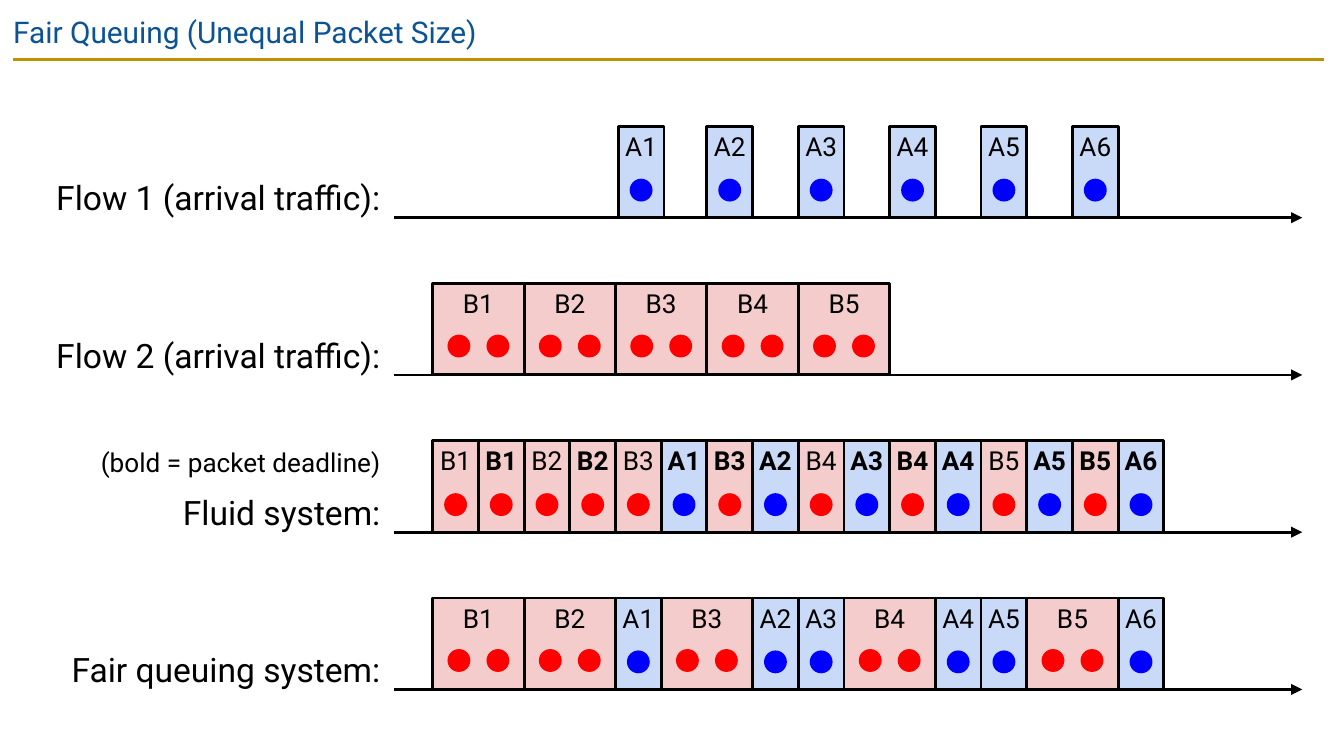
from pptx import Presentation
from pptx.dml.color import RGBColor
from pptx.enum.shapes import MSO_CONNECTOR, MSO_SHAPE
from pptx.enum.text import MSO_ANCHOR, PP_ALIGN
from pptx.oxml.ns import qn
from pptx.util import Inches, Pt

RECTANGLE, OVAL = MSO_SHAPE.RECTANGLE, MSO_SHAPE.OVAL
STRAIGHT = MSO_CONNECTOR.STRAIGHT
LEFT, CENTER, RIGHT = PP_ALIGN.LEFT, PP_ALIGN.CENTER, PP_ALIGN.RIGHT
TOP = MSO_ANCHOR.TOP

FONT = "Roboto"
FILLS = {"A": "C9DAF8", "B": "F4CCCC"}
DOTS = {"A": "0000FF", "B": "FF0000"}
SIZES = {"A": 1, "B": 2}  # packet length in slots

SLOT = 0.34
HEIGHT = 2 * SLOT
DOT = 0.17
DOT_GAP = 0.29
DOT_DROP = {1: 0.39, 2: 0.38}  # by packet length
FIRST_SLOT = 3.22
AXIS_LEFT, AXIS_RIGHT = 2.93, 9.69
LABEL_LEFT = 0.31
FIRST_AXIS, PITCH = 1.62, 1.17


def color(value):
    return RGBColor.from_string(value)


def write(shape, text, size, ink="000000", align=LEFT, bold=False, inset=0.1):
    frame = shape.text_frame
    frame.word_wrap = True
    frame.vertical_anchor = TOP
    frame.margin_left = frame.margin_right = Inches(inset)
    frame.margin_top = frame.margin_bottom = Inches(inset)
    para = frame.paragraphs[0]
    para.text = text
    para.alignment = align
    para.font.name = FONT
    para.font.size = Pt(size)
    para.font.bold = bold
    para.font.color.rgb = color(ink)


def add_text(page, box, text, size, **style):
    write(page.shapes.add_textbox(*map(Inches, box)), text, size, **style)


def add_figure(page, kind, box, fill):
    figure = page.shapes.add_shape(kind, *map(Inches, box))
    figure.shadow.inherit = False
    figure.fill.solid()
    figure.fill.fore_color.rgb = color(fill)
    return figure


def add_rule(page, left, right, y, ink, arrow=False):
    rule = page.shapes.add_connector(STRAIGHT, *map(Inches, (left, y, right, y)))
    rule.line.color.rgb = color(ink)
    rule.line.width = Pt(1.5)
    if arrow:
        line = rule.line._get_or_add_ln()
        line.append(line.makeelement(qn("a:tailEnd"), {"type": "triangle"}))
    properties = rule._element.spPr
    properties.append(properties.makeelement(qn("a:effectLst"), {}))


def add_packet(page, left, top, name, slots, bold=False):
    """Draw a packet with one dot for each slot it fills."""
    flow, width = name[0], slots * SLOT
    packet = add_figure(page, RECTANGLE, (left, top, width, HEIGHT), FILLS[flow])
    packet.line.color.rgb = color("000000")
    packet.line.width = Pt(1.5)
    write(packet, name, 14, align=CENTER, bold=bold, inset=0.03)
    first_dot = left + (width - DOT - (slots - 1) * DOT_GAP) / 2
    for index in range(slots):
        spot = (first_dot + index * DOT_GAP, top + DOT_DROP[slots], DOT, DOT)
        add_figure(page, OVAL, spot, DOTS[flow]).line.fill.background()


def add_timeline(page, axis, label, packets):
    """Draw a labelled time axis; packets are (slot, name, slots, bold)."""
    add_rule(page, AXIS_LEFT, AXIS_RIGHT, axis, "000000", arrow=True)
    label_box = (LABEL_LEFT, axis - 0.4, AXIS_LEFT - LABEL_LEFT, 0.5)
    add_text(page, label_box, label, 18, align=RIGHT)
    for slot, name, slots, bold in packets:
        left = FIRST_SLOT + slot * SLOT
        add_packet(page, left, axis - HEIGHT, name, slots, bold)


def whole_packets(names):
    """Send whole packets back to back."""
    slot, packets = 0, []
    for name in names.split():
        packets.append((slot, name, SIZES[name[0]], False))
        slot += SIZES[name[0]]
    return packets


def fluid_packets(names):
    """Send one slot at a time; the last slot of each packet is bold."""
    order = names.split()
    return [(slot, name, 1, name not in order[slot + 1:])
            for slot, name in enumerate(order)]


def add_title(page, text):
    add_rule(page, 0.1, 9.85, 0.44, "BF9000")
    add_text(page, (0, 0, 9.32, 0.43), text, 16, ink="0B5394")


def main():
    deck = Presentation()
    deck.slide_width = Inches(10)
    deck.slide_height = deck.slide_width * 9 // 16
    page = deck.slides.add_slide(deck.slide_layouts[6])
    add_title(page, "Fair Queuing (Unequal Packet Size)")

    arrivals = [4.06, 6, 8, 10, 12, 14]
    timelines = [
        ("Flow 1 (arrival traffic):",
         [(slot, f"A{number}", 1, False)
          for number, slot in enumerate(arrivals, 1)]),
        ("Flow 2 (arrival traffic):", whole_packets("B1 B2 B3 B4 B5")),
        ("Fluid system:",
         fluid_packets("B1 B1 B2 B2 B3 A1 B3 A2 B4 A3 B4 A4 B5 A5 B5 A6")),
        ("Fair queuing system:",
         whole_packets("B1 B2 A1 B3 A2 A3 B4 A4 A5 B5 A6")),
    ]
    for row, (label, packets) in enumerate(timelines):
        add_timeline(page, FIRST_AXIS + row * PITCH, label, packets)

    note_box = (LABEL_LEFT, 3.22, AXIS_LEFT - LABEL_LEFT, 0.44)
    add_text(page, note_box, "(bold = packet deadline)", 14, align=RIGHT)
    deck.save("out.pptx")


if __name__ == "__main__":
    main()
